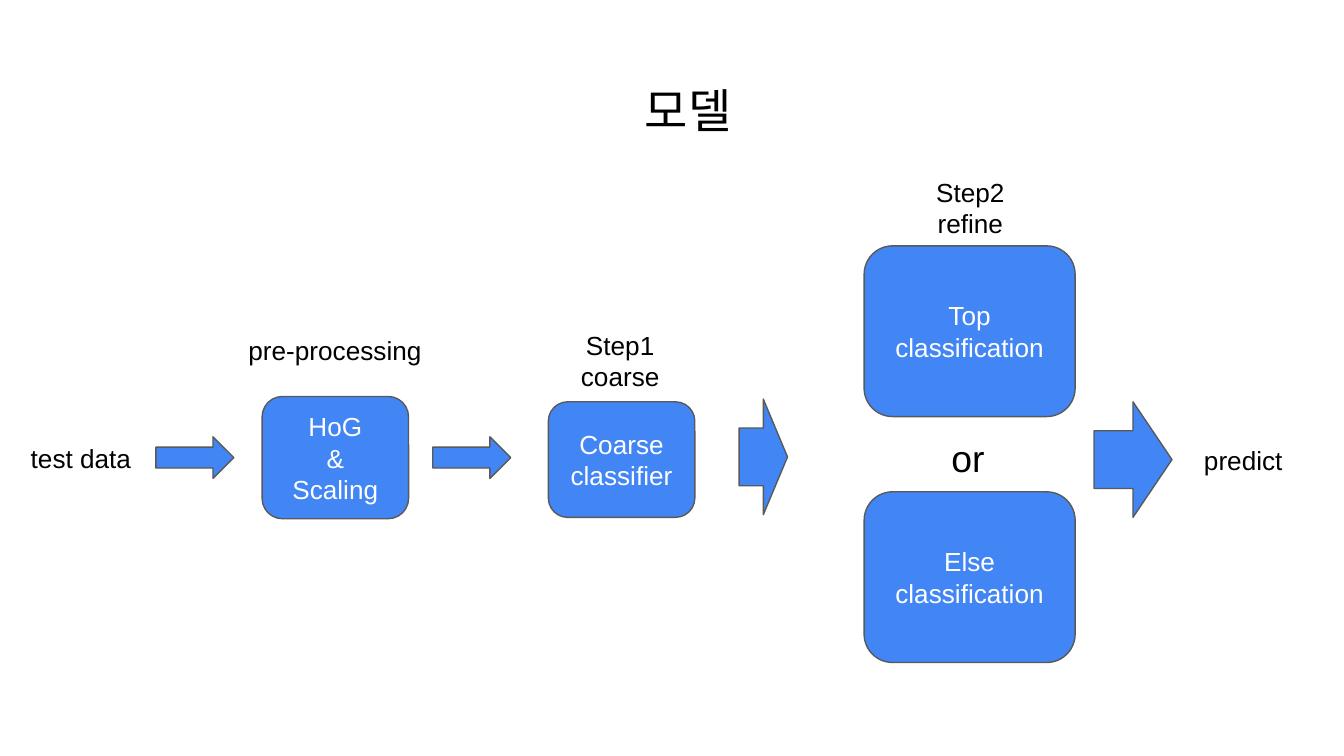
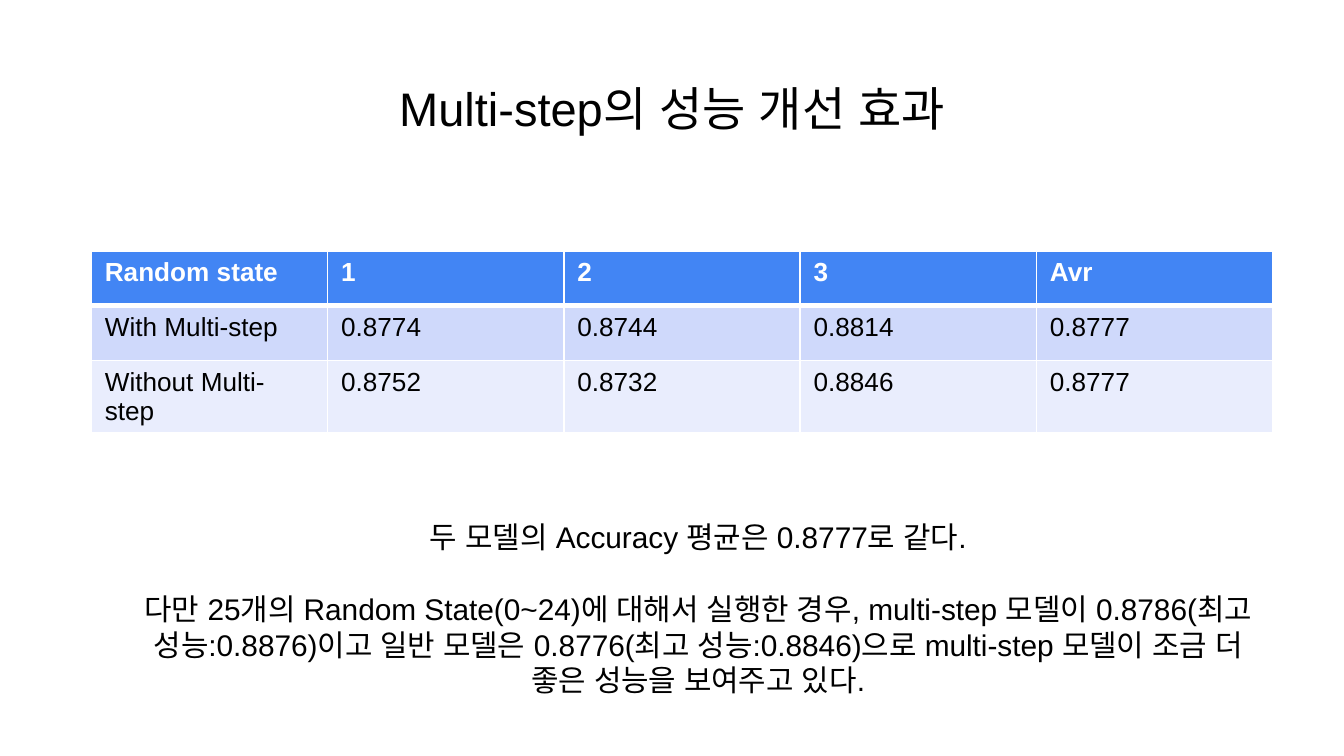
from lxml import etree
from pptx import Presentation
from pptx.dml.color import RGBColor
from pptx.enum.shapes import MSO_SHAPE
from pptx.enum.text import MSO_ANCHOR, PP_ALIGN
from pptx.oxml.ns import qn
from pptx.util import Inches, Pt

ROUNDED, ARROW = MSO_SHAPE.ROUNDED_RECTANGLE, MSO_SHAPE.RIGHT_ARROW
LEFT, CENTER = PP_ALIGN.LEFT, PP_ALIGN.CENTER
TOP, MIDDLE = MSO_ANCHOR.TOP, MSO_ANCHOR.MIDDLE

SLIDE_WIDTH = Inches(10)
SLIDE_HEIGHT = SLIDE_WIDTH * 9 // 16

FONT = "Arial"
BLUE = RGBColor(0x42, 0x85, 0xF4)
OUTLINE = RGBColor(0x59, 0x59, 0x59)
BLACK = RGBColor(0, 0, 0)
WHITE = RGBColor(0xFF, 0xFF, 0xFF)
ROW_FILLS = [BLUE, RGBColor(0xCF, 0xD9, 0xFB), RGBColor(0xE9, 0xED, 0xFD)]

TITLE_SIZE = (9.32, 0.63)
BODY_PT = 14
INSET = 0.1

MODEL_TITLE = ("모델", 0.46, 0.51)
# text, left, top, width, height
STAGES = [
    ("HoG\n&\nScaling", 1.95, 2.95, 1.09, 0.91),
    ("Coarse\nclassifier", 4.08, 2.99, 1.09, 0.86),
    ("Top\nclassification", 6.43, 1.83, 1.57, 1.27),
    ("Else\nclassification", 6.43, 3.66, 1.57, 1.27),
]
# left, top, width, height
FLOW_ARROWS = [
    (1.16, 3.25, 0.58, 0.31),
    (3.22, 3.25, 0.58, 0.31),
    (5.5, 2.97, 0.36, 0.86),
    (8.14, 2.99, 0.58, 0.86),
]
# text, left, top, width, height, points, alignment
LABELS = [
    ("test data", 0.13, 3.19, 1.08, 0.44, BODY_PT, LEFT),
    ("pre-processing", 1.75, 2.39, 1.78, 0.44, BODY_PT, LEFT),
    ("Step1\ncoarse", 4.18, 2.35, 0.87, 0.67, BODY_PT, CENTER),
    ("Step2\nrefine", 6.76, 1.21, 0.92, 0.67, BODY_PT, CENTER),
    ("or", 6.98, 3.14, 0.7, 0.54, 20, LEFT),
    ("predict", 8.86, 3.21, 1.08, 0.44, BODY_PT, LEFT),
]

RESULT_TITLE = ("Multi-step의 성능 개선 효과", 0.34, 0.49)
ACCURACY = [
    ["Random state", "1", "2", "3", "Avr"],
    ["With Multi-step", "0.8774", "0.8744", "0.8814", "0.8777"],
    ["Without Multi-step", "0.8752", "0.8732", "0.8846", "0.8777"],
]
TABLE_BOX = (0.68, 1.87, 8.79, 1.22)
CONCLUSION = (
    "두 모델의 Accuracy 평균은 0.8777로 같다.\n"
    "다만 25개의 Random State(0~24)에 대해서 실행한 경우, multi-step 모델이 "
    "0.8786(최고 성능:0.8876)이고 일반 모델은 0.8776(최고 성능:0.8846)으로 "
    "multi-step 모델이 조금 더 좋은 성능을 보여주고 있다."
)
CONCLUSION_BOX = (0.92, 3.81, 8.55, 1.45)
CONCLUSION_GAP = 19.3


def inches(box):
    return [Inches(length) for length in box]


def write(frame, text, points, color, align=LEFT, bold=False):
    frame.text = text
    for paragraph in frame.paragraphs:
        paragraph.alignment = align
        for run in paragraph.runs:
            font = run.font
            font.name, font.size, font.bold = FONT, Pt(points), bold
            font.color.rgb = color
            # Hangul and its spaces follow the East Asian font
            etree.SubElement(run._r.get_or_add_rPr(), qn("a:ea"), typeface=FONT)


def set_layout(frame, anchor, inset_y=INSET):
    frame.word_wrap = True
    frame.vertical_anchor = anchor
    frame.margin_left = frame.margin_right = Inches(INSET)
    frame.margin_top = frame.margin_bottom = Inches(inset_y)


def add_label(slide, text, box, points, align, inset_y=INSET):
    frame = slide.shapes.add_textbox(*inches(box)).text_frame
    set_layout(frame, TOP, inset_y)
    write(frame, text, points, BLACK, align)
    return frame


def add_title(slide, text, left, top):
    add_label(slide, text, (left, top, *TITLE_SIZE), 25.2, CENTER)


def add_block(slide, preset, box):
    block = slide.shapes.add_shape(preset, *inches(box))
    block.shadow.inherit = False
    block.fill.solid()
    block.fill.fore_color.rgb = BLUE
    block.line.color.rgb = OUTLINE
    block.line.width = Pt(0.75)
    return block


def set_borders(cell, widths):
    """Draw white cell edges; widths maps the edge letter to points."""
    properties = cell._tc.get_or_add_tcPr()
    for edge, points in widths.items():
        line = etree.SubElement(properties, qn("a:ln" + edge), w=str(Pt(points)))
        fill = etree.SubElement(line, qn("a:solidFill"))
        etree.SubElement(fill, qn("a:srgbClr"), val=str(WHITE))


def add_accuracy_table(slide):
    table = slide.shapes.add_table(
        len(ACCURACY), len(ACCURACY[0]), *inches(TABLE_BOX)).table
    for r, values in enumerate(ACCURACY):
        header = r == 0
        for c, value in enumerate(values):
            cell = table.cell(r, c)
            set_borders(cell, {"L": 1, "R": 1, "T": 3 if r == 1 else 1,
                               "B": 3 if header else 1})
            cell.margin_bottom = Inches(0.02)
            cell.fill.solid()
            cell.fill.fore_color.rgb = ROW_FILLS[r]
            write(cell.text_frame, value, BODY_PT,
                  WHITE if header else BLACK, bold=header)


def build_model(slide):
    add_title(slide, *MODEL_TITLE)
    for text, *box in STAGES:
        frame = add_block(slide, ROUNDED, box).text_frame
        set_layout(frame, MIDDLE)
        write(frame, text, BODY_PT, WHITE, CENTER)
    for box in FLOW_ARROWS:
        add_block(slide, ARROW, box)
    for text, *box, points, align in LABELS:
        add_label(slide, text, box, points, align)


def build_result(slide):
    add_title(slide, *RESULT_TITLE)
    add_accuracy_table(slide)
    conclusion = add_label(slide, CONCLUSION, CONCLUSION_BOX, 16, CENTER, 0.05)
    conclusion.paragraphs[1].space_before = Pt(CONCLUSION_GAP)


def main():
    deck = Presentation()
    deck.slide_width, deck.slide_height = SLIDE_WIDTH, SLIDE_HEIGHT
    blank = deck.slide_layouts[6]
    for build in (build_model, build_result):
        build(deck.slides.add_slide(blank))
    deck.save("out.pptx")


if __name__ == "__main__":
    main()
